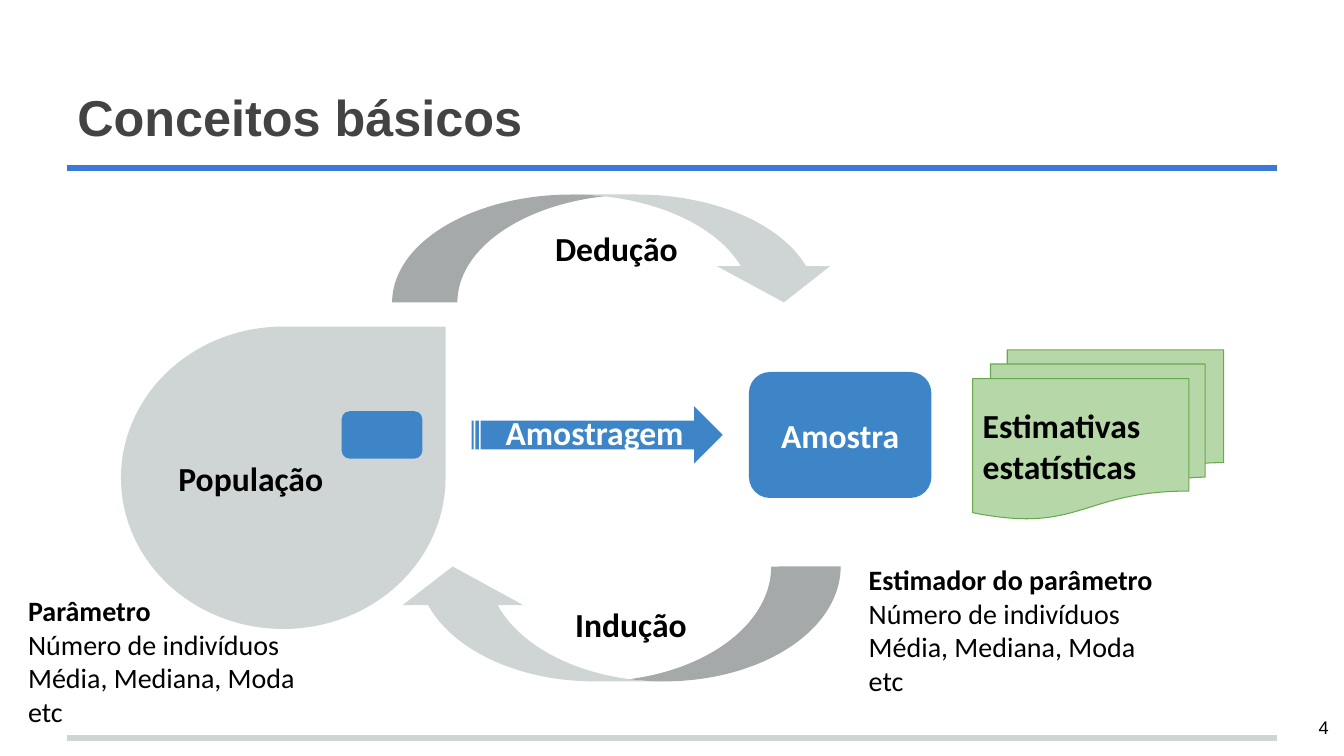
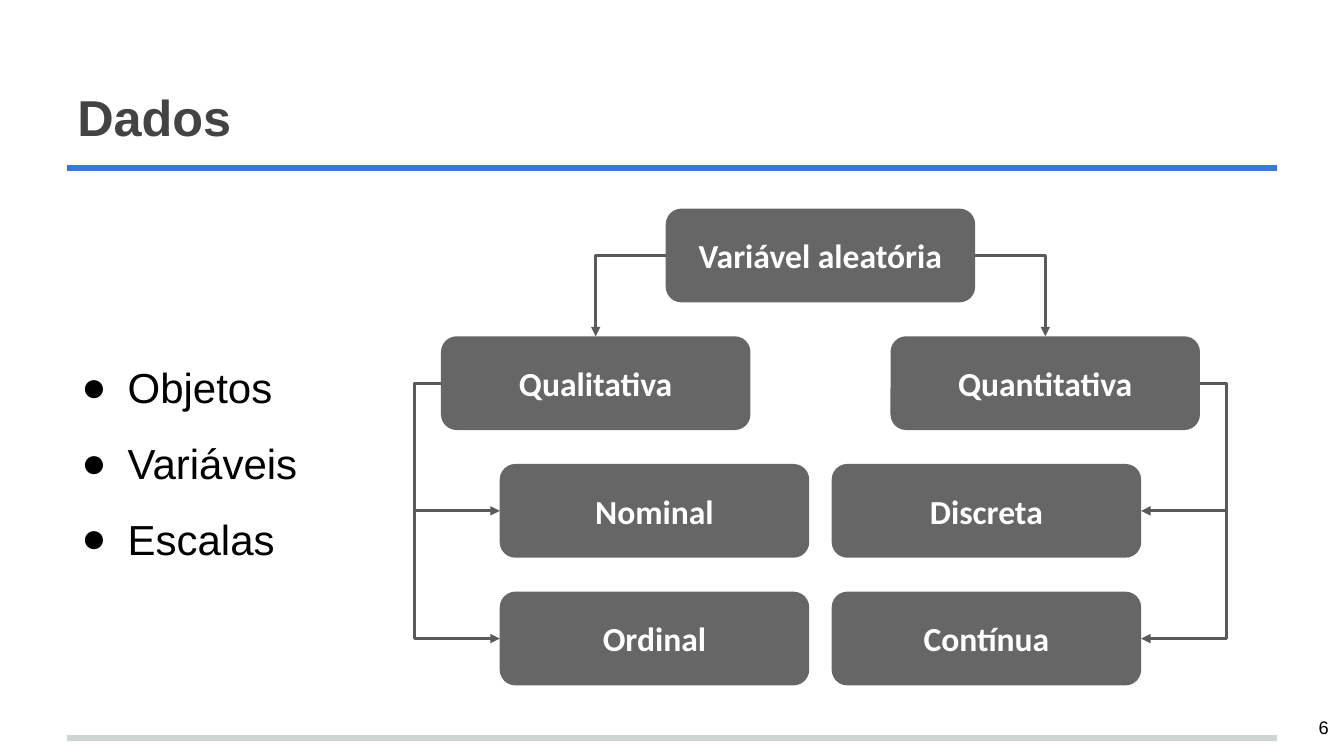
from dataclasses import dataclass

from lxml.etree import SubElement
from pptx import Presentation
from pptx.dml.color import RGBColor
from pptx.enum.shapes import MSO_CONNECTOR, MSO_SHAPE
from pptx.enum.text import MSO_ANCHOR, MSO_AUTO_SIZE, PP_ALIGN
from pptx.oxml.ns import qn
from pptx.util import Inches, Pt

COLUMNS, ROWS = 40, 22.5
CELL = Inches(1) / 3
TOP, LEFT, RIGHT = 0, 1, 3


@dataclass(frozen=True)
class Theme:
    """Colours, fonts and type sizes of the deck."""

    ink: str = "000000"
    white: str = "FFFFFF"
    title: str = "434343"
    rule: str = "3C78D8"
    pale: str = "CFD4D4"
    blue: str = "3D85C6"
    leaf: str = "B6D7A8"
    leaf_edge: str = "6AA84F"
    node: str = "666666"
    link: str = "5B595A"
    heading_font: str = "Arial"
    diagram_font: str = "Calibri"
    title_size: float = 36
    list_size: float = 30
    label_size: float = 24
    note_size: float = 20
    number_size: float = 13


def cells(*lengths):
    """Turn grid cells into slide units."""
    return [round(length * CELL) for length in lengths]


def assign(target, formats):
    """Set each named attribute of the target."""
    for name, value in formats.items():
        setattr(target, name, value)


class Board:
    """Draws styled elements on the current slide."""

    def __init__(self, theme):
        self.theme = theme
        self.deck = Presentation()
        width, height = cells(COLUMNS, ROWS)
        assign(self.deck, {"slide_width": width, "slide_height": height})
        self.page = None

    def start(self, title, number, layout):
        """Begin a slide with its rules, title and number."""
        theme = self.theme
        self.page = self.deck.slides.add_slide(self.deck.slide_layouts[layout])
        for row, color in ((21.97, theme.pale), (5, theme.rule)):
            self.line(MSO_CONNECTOR.STRAIGHT, color, 4, (2, row, 38, row))
        self.place(self.page.shapes.title, (2, 0.9, 36, 3.75))
        self.letter(self.page.shapes.title, [title], theme.title_size, theme.title,
                    font=theme.heading_font, anchor=MSO_ANCHOR.BOTTOM)
        self.note([str(number)], (37.44, 20.79, 2.4, 1.71), theme.number_size,
                  bold=0, font=theme.heading_font, align=PP_ALIGN.RIGHT,
                  anchor=MSO_ANCHOR.MIDDLE)

    def place(self, box, area):
        """Move and size a box on the grid."""
        assign(box, dict(zip(("left", "top", "width", "height"), cells(*area))))

    def letter(self, box, lines, size, color, bold=1, font=None,
               align=PP_ALIGN.LEFT, anchor=MSO_ANCHOR.MIDDLE, inset=0.1):
        """Fill a box with paragraphs, the first `bold` of them in bold."""
        frame = box.text_frame
        frame.text = "\n".join(lines)
        margin = Inches(0.1)
        assign(frame, {"word_wrap": True, "auto_size": MSO_AUTO_SIZE.NONE,
                       "vertical_anchor": anchor, "margin_left": margin,
                       "margin_right": margin, "margin_top": Inches(inset),
                       "margin_bottom": margin})
        for index, para in enumerate(frame.paragraphs):
            para.alignment = align
            for span in para.runs:
                assign(span.font, {"name": font or self.theme.diagram_font,
                                   "size": Pt(size), "bold": index < bold})
                span.font.color.rgb = RGBColor.from_string(color)

    def note(self, lines, area, size, **style):
        """Add free text."""
        box = self.page.shapes.add_textbox(*cells(*area))
        self.letter(box, lines, size, self.theme.ink, **style)

    def shape(self, kind, area, fill, lines=(), color=None, edge=None,
              adjust=(), rotation=0, **style):
        """Add a preset shape with an optional label."""
        box = self.page.shapes.add_shape(kind, *cells(*area))
        box.rotation = rotation
        box.shadow.inherit = False
        box.fill.solid()
        box.fill.fore_color.rgb = RGBColor.from_string(fill)
        if edge:
            box.line.color.rgb = RGBColor.from_string(edge)
            box.line.width = Pt(0.75)
        else:
            box.line.fill.background()
        for index, value in enumerate(adjust):
            box.adjustments[index] = value
        if lines:
            self.letter(box, lines, self.theme.label_size,
                        color or self.theme.ink, **style)
        return box

    def line(self, kind, color, width, ends=(0, 0, 0, 0)):
        """Add a plain line or connector."""
        line = self.page.shapes.add_connector(kind, *cells(*ends))
        line.line.color.rgb = RGBColor.from_string(color)
        line.line.width = Pt(width)
        SubElement(line._element.spPr, qn("a:effectLst"))
        return line

    def link(self, start, start_site, end, end_site, preset, bend=None):
        """Join two boxes with a bent arrow."""
        link = self.line(MSO_CONNECTOR.ELBOW, self.theme.link, 2.25)
        link.begin_connect(start, start_site)
        link.end_connect(end, end_site)
        outline = link._element.spPr.find(qn("a:ln"))
        SubElement(outline, qn("a:tailEnd"), type="triangle")
        geometry = link._element.spPr.find(qn("a:prstGeom"))
        geometry.set("prst", preset)
        if bend is not None:
            guides = geometry.find(qn("a:avLst"))
            if guides is None:
                guides = SubElement(geometry, qn("a:avLst"))
            SubElement(guides, qn("a:gd"), name="adj1",
                       fmla=f"val {round(bend * 100000)}")

    def bullets(self, lines, area):
        """Fill the body placeholder with a bulleted list."""
        theme = self.theme
        body = self.page.placeholders[1]
        self.place(body, area)
        self.letter(body, lines, theme.list_size, theme.ink, bold=0,
                    font=theme.heading_font)
        for index, para in enumerate(body.text_frame.paragraphs):
            assign(para, {"line_spacing": 1.5, "space_before": Pt(0 if index else 6)})
            layout = para._p.get_or_add_pPr()
            layout.set("marL", str(Inches(0.5)))
            layout.set("indent", str(Inches(-0.46)))
            SubElement(SubElement(layout, qn("a:buClr")), qn("a:srgbClr"), val=theme.ink)
            SubElement(layout, qn("a:buFont"), typeface=theme.heading_font)
            SubElement(layout, qn("a:buChar"), char="●")


def draw_concepts(board):
    """Population, sample and the reasoning between them."""
    theme = board.theme
    center = PP_ALIGN.CENTER
    board.start("Conceitos básicos", 4, layout=5)
    board.shape(MSO_SHAPE.TEAR, (3.6, 9.72, 9.66, 9), theme.pale, ["População"])
    board.shape(MSO_SHAPE.ROUNDED_RECTANGLE, (10.17, 12.24, 2.4, 1.41), theme.blue)
    board.shape(MSO_SHAPE.ROUNDED_RECTANGLE, (22.29, 11.07, 5.43, 3.75), theme.blue,
                ["Amostra"], theme.white, align=center)
    board.shape(MSO_SHAPE.STRIPED_RIGHT_ARROW, (14.04, 12.09, 7.47, 1.71), theme.blue,
                ["Amostragem"], theme.white, align=center, inset=0.04)
    board.shape(MSO_SHAPE.FLOWCHART_MULTIDOCUMENT, (28.95, 10.41, 7.47, 5.04),
                theme.leaf, ["Estimativas", "estatísticas"], edge=theme.leaf_edge, bold=2)
    for row, height, lines, rotation in ((5.79, 3.21, ["Dedução"], 0),
                                         (16.86, 3.42, [], 180)):
        board.shape(MSO_SHAPE.CURVED_DOWN_ARROW, (11.67, row, 13.35, height), theme.pale,
                    lines, adjust=(0.605, 1.052, 0.337), rotation=rotation, align=center)
    board.note(["Indução"], (12.57, 17.67, 12.42, 2.55), theme.label_size,
               align=center, anchor=MSO_ANCHOR.TOP)
    measures = ["Número de indivíduos", "Média, Mediana, Moda", "etc"]
    for heading, column, row in (("Parâmetro", 0.54, 17.37),
                                 ("Estimador do parâmetro", 25.56, 16.44)):
        board.note([heading, *measures], (column, row, 10.23, 4.23), theme.note_size,
                   anchor=MSO_ANCHOR.TOP)


def draw_data(board):
    """Tree of variable types beside a short list."""
    theme = board.theme
    axis, width, height, first_row, pitch = 24.42, 9.21, 2.79, 6.21, 3.8
    board.start("Dados", 6, layout=1)
    board.bullets(["Objetos", "Variáveis", "Escalas"], (2, 5.25, 36, 16.29))

    def node(label, offset, level):
        """Add a box at an offset from the axis of the tree."""
        area = (axis + offset - width / 2, first_row + level * pitch, width, height)
        return board.shape(MSO_SHAPE.ROUNDED_RECTANGLE, area, theme.node, [label],
                           theme.white, align=PP_ALIGN.CENTER)

    root = node("Variável aleatória", 0, 0)
    branches = (("Qualitativa", -1, LEFT, ("Nominal", "Ordinal")),
                ("Quantitativa", 1, RIGHT, ("Discreta", "Contínua")))
    for label, side, site, kinds in branches:
        branch = node(label, side * 6.69, 1)
        board.link(root, site, branch, TOP, "bentConnector2")
        for level, kind in enumerate(kinds, 2):
            leaf = node(kind, side * 4.94, level)
            board.link(branch, site, leaf, site, "bentConnector3", bend=-0.45)


def main():
    """Build and save the deck."""
    board = Board(Theme())
    draw_concepts(board)
    draw_data(board)
    board.deck.save("out.pptx")


if __name__ == "__main__":
    main()
